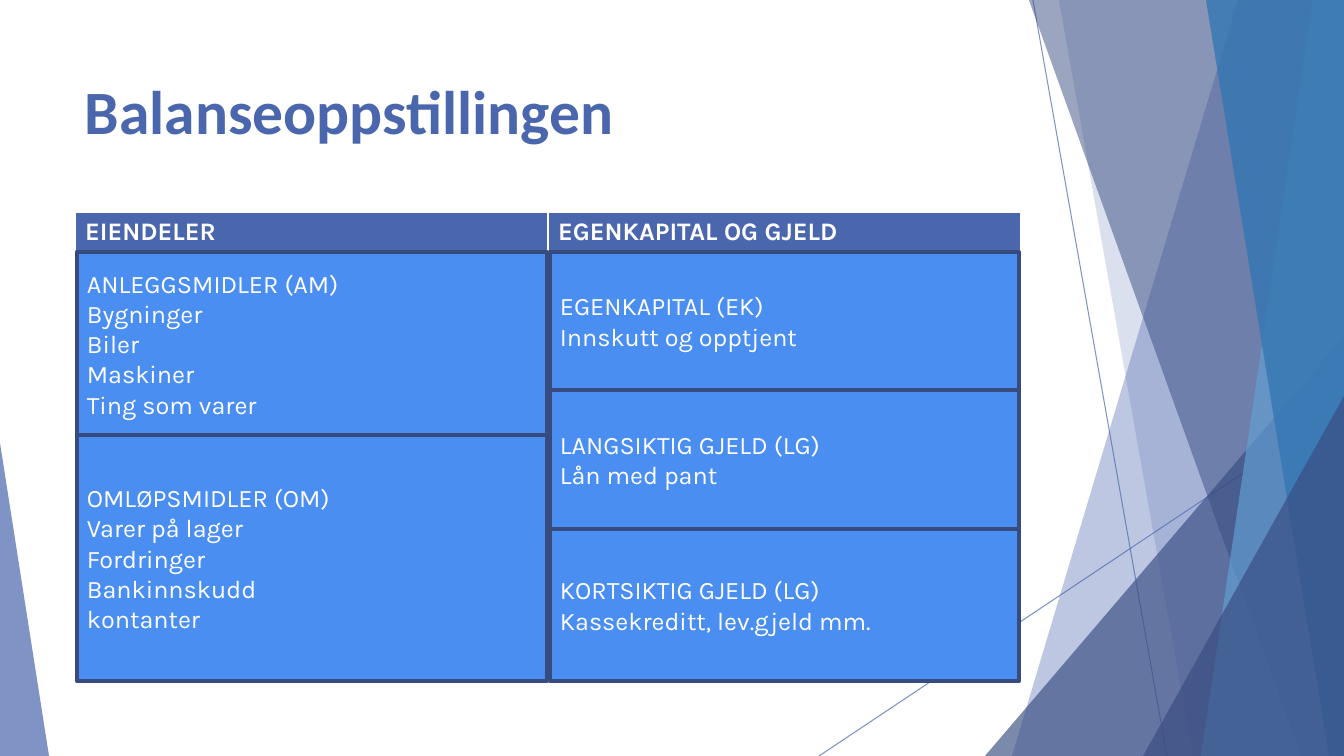
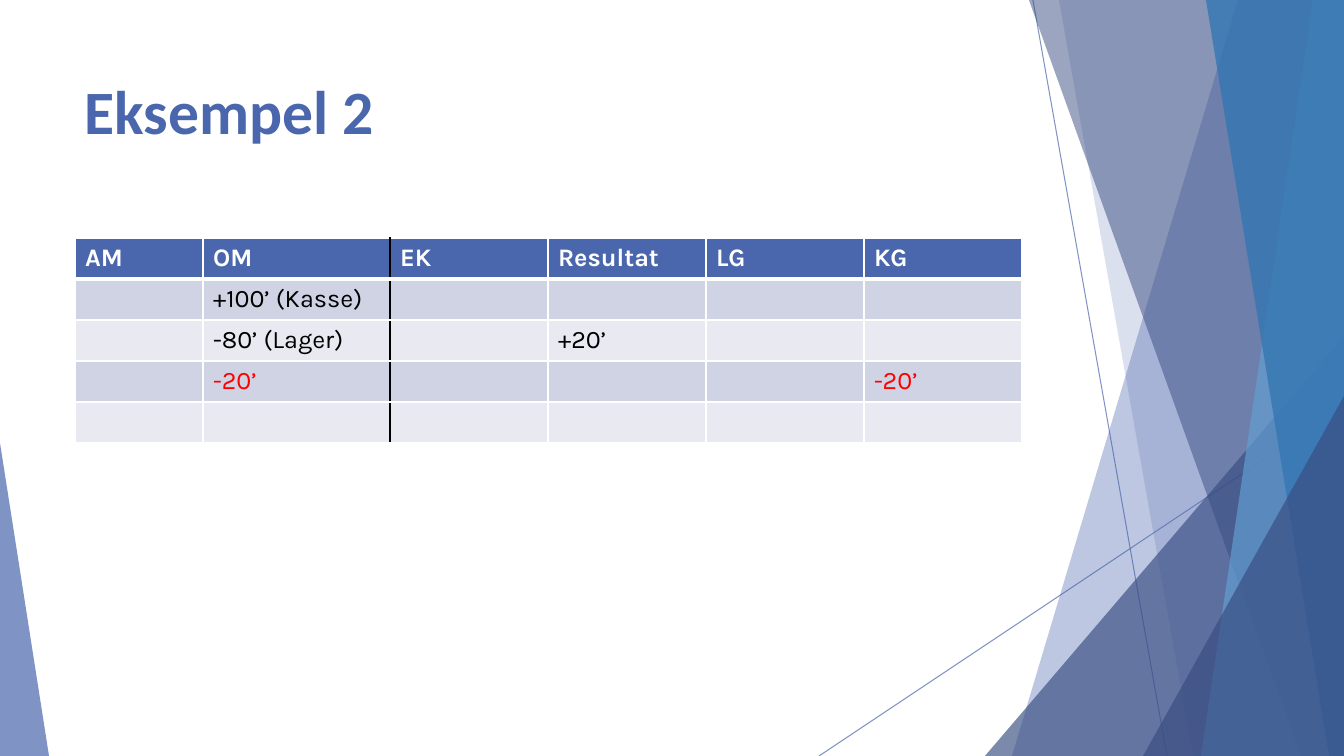
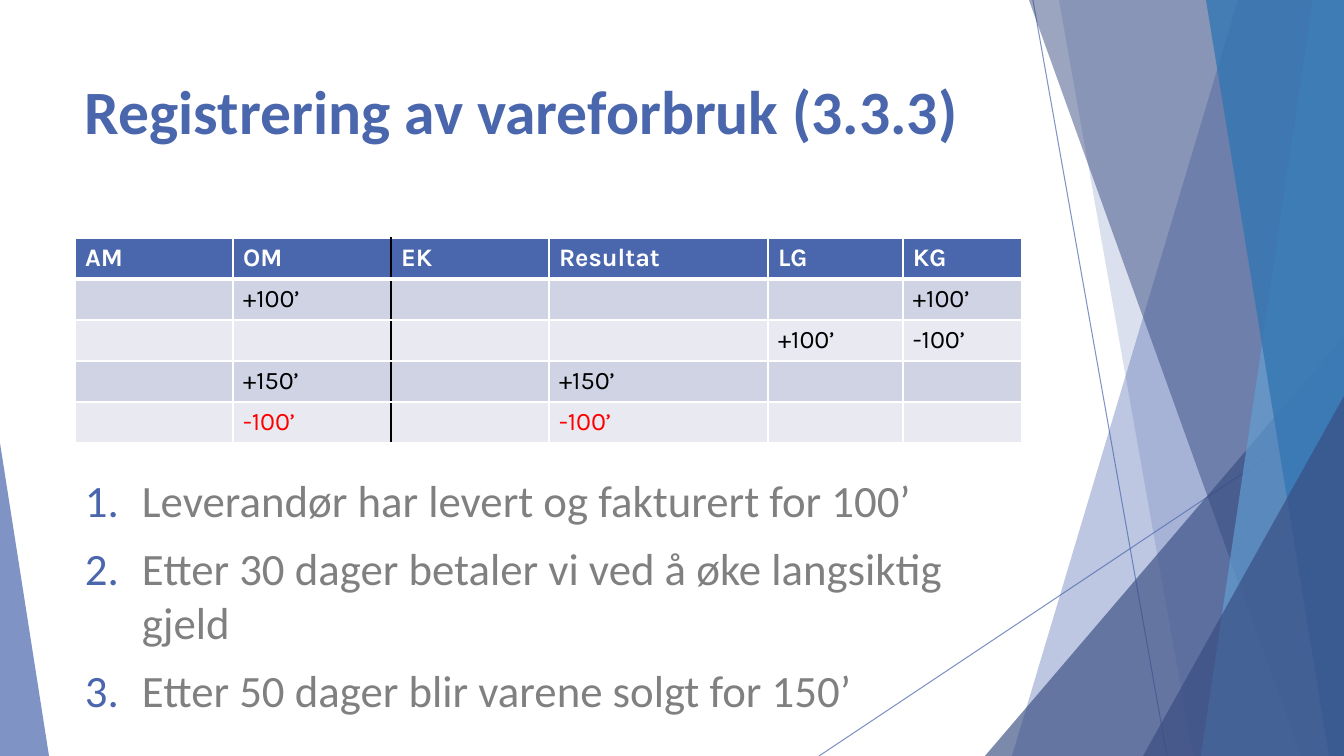
from dataclasses import dataclass

import lxml.etree
import pptx
import pptx.dml.color
import pptx.enum.shapes
import pptx.enum.text
import pptx.oxml.ns
import pptx.presentation
import pptx.slide
import pptx.table
import pptx.text.text
import pptx.util

# Scale and shared measures, in px
SLIDE_WIDTH, SLIDE_HEIGHT = 1344, 756
EMU_PER_PX = 12192000 / SLIDE_WIDTH
CONTENT_LEFT, CONTENT_WIDTH = 75, 947
ROW_HEIGHT = 41
LIST_INDENT = 57

# Colours and fonts
RGBColor = pptx.dml.color.RGBColor
BLUE = RGBColor(0x4A, 0x66, 0xAC)
NAVY = RGBColor(0x38, 0x4C, 0x81)
SKY = RGBColor(0x62, 0x9D, 0xD1)
OCEAN = RGBColor(0x34, 0x77, 0xB2)
BOX_FILL = RGBColor(0x4A, 0x8E, 0xF2)
BOX_LINE = RGBColor(0x37, 0x4B, 0x7F)
BAND_DARK = RGBColor(0xD0, 0xD3, 0xE3)
BAND_LIGHT = RGBColor(0xE9, 0xEA, 0xF1)
WHITE = RGBColor(0xFF, 0xFF, 0xFF)
BLACK = RGBColor(0, 0, 0)
RED = RGBColor(0xFF, 0, 0)
GREY = RGBColor(0x80, 0x80, 0x80)
HEADING_FONT, TABLE_FONT = "Calibri", "Karla"


@dataclass(frozen=True)
class Wedge:
    """Four-sided band running from the top edge to the bottom right corner."""
    top_x: int
    bottom_x: int
    color: RGBColor
    opacity: int


@dataclass(frozen=True)
class Corner:
    """Right-angled triangle standing on the bottom edge."""
    left: int
    top: int
    width: int
    apex: int
    color: RGBColor
    opacity: int


@dataclass(frozen=True)
class BoxColumn:
    left: int
    width: int
    boxes: tuple[tuple[int, tuple[str, ...]], ...]


@dataclass(frozen=True)
class Ledger:
    title: str
    widths: tuple[int, ...]
    rows: tuple[tuple[str, ...], ...]
    red_row: int


DECOR_LINES = ((1033, 0, 1167, 756), (1344, 406, 819, 756))
DECOR = (
    Wedge(1238, 1012, BLUE, 36),
    Wedge(1059, 1193, BLUE, 20),
    Corner(985, 336, 359, 1, NAVY, 66),
    Wedge(1029, 1301, NAVY, 50),
    Wedge(1313, 1201, SKY, 70),
    Wedge(1206, 1329, OCEAN, 80),
    Corner(1143, 396, 201, 1, NAVY, 66),
    Corner(0, 443, 49, 0, BLUE, 70),
)

BALANCE_HEADER = ("EIENDELER", "EGENKAPITAL OG GJELD")
BALANCE_COLUMNS = (
    BoxColumn(77, 470, (
        (183, ("ANLEGGSMIDLER (AM)", "Bygninger", "Biler", "Maskiner", "Ting som varer")),
        (246, ("OMLØPSMIDLER (OM)", "Varer på lager", "Fordringer", "Bankinnskudd", "kontanter")),
    )),
    BoxColumn(550, 469, (
        (138, ("EGENKAPITAL (EK)", "Innskutt og opptjent")),
        (139, ("LANGSIKTIG GJELD (LG)", "Lån med pant")),
        (152, ("KORTSIKTIG GJELD (LG)", "Kassekreditt, lev.gjeld mm.")),
    )),
)

LEDGER_HEADER = ("AM", "OM", "EK", "Resultat", "LG", "KG")
EXAMPLE = Ledger(
    "Eksempel 2",
    (128, 187, 158, 158, 158, 158),
    (
        ("", "+100’ (Kasse)", "", "", "", ""),
        ("", "-80’ (Lager)", "", "+20’", "", ""),
        ("", "-20’", "", "", "", "-20’"),
        ("", "", "", "", "", ""),
    ),
    red_row=3,
)
CONSUMPTION = Ledger(
    "Registrering av vareforbruk (3.3.3)",
    (158, 158, 158, 219, 135, 119),
    (
        ("", "+100’", "", "", "", "+100’"),
        ("", "", "", "", "+100’", "-100’"),
        ("", "+150’", "", "+150’", "", ""),
        ("", "-100’", "", "-100’", "", ""),
    ),
    red_row=4,
)
CONSUMPTION_STEPS = (
    "Leverandør har levert og fakturert for 100’",
    "Etter 30 dager betaler vi ved å øke langsiktig gjeld",
    "Etter 50 dager blir varene solgt for 150’",
)


def px(length: int) -> pptx.util.Emu:
    return pptx.util.Emu(round(length * EMU_PER_PX))


def add_child(parent: lxml.etree._Element, tag: str, **attributes: str) -> lxml.etree._Element:
    child = lxml.etree.SubElement(parent, pptx.oxml.ns.qn(tag))
    for name, value in attributes.items():
        child.set(name, value)
    return child


def set_opacity(element: lxml.etree._Element, percent: int) -> None:
    for color in list(element.iter(pptx.oxml.ns.qn("a:srgbClr"))):
        add_child(color, "a:alpha", val=str(percent * 1000))


def add_text(paragraph: pptx.text.text._Paragraph, text: str, size: int, font: str,
             color: RGBColor, bold: bool = False) -> None:
    run = paragraph.add_run()
    run.text = text
    run.font.size = pptx.util.Pt(size)
    run.font.name = font
    run.font.color.rgb = color
    run.font.bold = bold


def next_paragraph(frame: pptx.text.text.TextFrame, index: int) -> pptx.text.text._Paragraph:
    return frame.paragraphs[0] if index == 0 else frame.add_paragraph()


def add_text_box(slide: pptx.slide.Slide, top: int, height: int) -> pptx.text.text.TextFrame:
    box = slide.shapes.add_textbox(px(CONTENT_LEFT), px(top), px(CONTENT_WIDTH), px(height))
    box.text_frame.word_wrap = True
    return box.text_frame


# Shared background and title
def draw_decor(slide: pptx.slide.Slide) -> None:
    for x1, y1, x2, y2 in DECOR_LINES:
        line = slide.shapes.add_connector(
            pptx.enum.shapes.MSO_CONNECTOR.STRAIGHT, px(x1), px(y1), px(x2), px(y2))
        line.line.color.rgb = BLUE
        line.line.width = pptx.util.Pt(0.75)
        set_opacity(line.element, 70)
        add_child(line.element.spPr, "a:effectLst")
    for part in DECOR:
        if isinstance(part, Wedge):
            builder = slide.shapes.build_freeform(px(part.top_x), 0)
            builder.add_line_segments([
                (px(SLIDE_WIDTH), 0),
                (px(SLIDE_WIDTH), px(SLIDE_HEIGHT)),
                (px(part.bottom_x), px(SLIDE_HEIGHT)),
            ])
            shape = builder.convert_to_shape()
        else:
            shape = slide.shapes.add_shape(
                pptx.enum.shapes.MSO_SHAPE.ISOSCELES_TRIANGLE, px(part.left), px(part.top),
                px(part.width), px(SLIDE_HEIGHT - part.top))
            shape.adjustments[0] = part.apex
        shape.shadow.inherit = False
        shape.fill.solid()
        shape.fill.fore_color.rgb = part.color
        set_opacity(shape.element.spPr, part.opacity)
        shape.line.fill.background()


def add_titled_slide(presentation: pptx.presentation.Presentation, title: str) -> pptx.slide.Slide:
    slide = presentation.slides.add_slide(presentation.slide_layouts[6])
    draw_decor(slide)
    frame = add_text_box(slide, top=68, height=145)
    add_text(frame.paragraphs[0], title, 44, HEADING_FONT, BLUE, bold=True)
    return slide


# Tables
def style_cell(cell: pptx.table._Cell, fill: RGBColor, left: RGBColor, right: RGBColor,
               bottom_width: int) -> None:
    properties = cell._tc.get_or_add_tcPr()
    borders = (("a:lnL", left, 1), ("a:lnR", right, 1), ("a:lnT", WHITE, 1),
               ("a:lnB", WHITE, bottom_width))
    for tag, color, width in borders:
        border = add_child(properties, tag, w=str(pptx.util.Pt(width)))
        add_child(add_child(border, "a:solidFill"), "a:srgbClr", val=str(color))
    cell.fill.solid()
    cell.fill.fore_color.rgb = fill


def draw_table(slide: pptx.slide.Slide, top: int, widths: tuple[int, ...],
               rows: tuple[tuple[str, ...], ...], divider: int = 0, red_row: int = 0) -> None:
    """Draw a table with a header row and a black rule before column `divider`."""
    table = slide.shapes.add_table(
        len(rows), len(widths), px(CONTENT_LEFT), px(top),
        px(sum(widths)), px(ROW_HEIGHT * len(rows))).table
    for column, width in zip(table.columns, widths):
        column.width = px(width)
    for r, texts in enumerate(rows):
        table.rows[r].height = px(ROW_HEIGHT)
        is_header = r == 0
        fill = BLUE if is_header else BAND_DARK if r % 2 else BAND_LIGHT
        color = WHITE if is_header else RED if r == red_row else BLACK
        for c, text in enumerate(texts):
            cell = table.cell(r, c)
            style_cell(cell, fill,
                       left=BLACK if divider and c == divider else WHITE,
                       right=BLACK if divider and c == divider - 1 else WHITE,
                       bottom_width=3 if is_header else 1)
            if text:
                add_text(cell.text_frame.paragraphs[0], text, 18, TABLE_FONT, color, is_header)


# Slides
def draw_box(slide: pptx.slide.Slide, left: int, top: int, width: int, height: int,
             lines: tuple[str, ...]) -> None:
    box = slide.shapes.add_shape(
        pptx.enum.shapes.MSO_SHAPE.RECTANGLE, px(left), px(top), px(width), px(height))
    box.shadow.inherit = False
    box.fill.solid()
    box.fill.fore_color.rgb = BOX_FILL
    box.line.color.rgb = BOX_LINE
    box.line.width = pptx.util.Pt(3)
    frame = box.text_frame
    frame.word_wrap = True
    frame.vertical_anchor = pptx.enum.text.MSO_ANCHOR.MIDDLE
    for index, text in enumerate(lines):
        paragraph = next_paragraph(frame, index)
        paragraph.alignment = pptx.enum.text.PP_ALIGN.LEFT
        add_text(paragraph, text, 18, TABLE_FONT, WHITE)


def build_balance(presentation: pptx.presentation.Presentation) -> None:
    slide = add_titled_slide(presentation, "Balanseoppstillingen")
    draw_table(slide, 212, (473, 473), (BALANCE_HEADER,))
    for column in BALANCE_COLUMNS:
        top = 252
        for height, lines in column.boxes:
            draw_box(slide, column.left, top, column.width, height, lines)
            top += height


def build_ledger(presentation: pptx.presentation.Presentation, ledger: Ledger) -> pptx.slide.Slide:
    slide = add_titled_slide(presentation, ledger.title)
    draw_table(slide, 238, ledger.widths, (LEDGER_HEADER, *ledger.rows),
               divider=2, red_row=ledger.red_row)
    return slide


def draw_numbered_list(slide: pptx.slide.Slide, steps: tuple[str, ...]) -> None:
    frame = add_text_box(slide, top=468, height=288)
    for index, text in enumerate(steps):
        paragraph = next_paragraph(frame, index)
        paragraph.space_before = pptx.util.Pt(10)
        properties = paragraph._p.get_or_add_pPr()
        properties.set("marL", str(px(LIST_INDENT)))
        properties.set("indent", str(-px(LIST_INDENT)))
        add_child(add_child(properties, "a:buClr"), "a:srgbClr", val=str(BLUE))
        add_child(properties, "a:buFont", typeface=HEADING_FONT)
        add_child(properties, "a:buAutoNum", type="arabicPeriod")
        add_text(paragraph, text, 32, HEADING_FONT, GREY)


def main() -> None:
    presentation = pptx.Presentation()
    presentation.slide_width = px(SLIDE_WIDTH)
    presentation.slide_height = px(SLIDE_HEIGHT)
    build_balance(presentation)
    build_ledger(presentation, EXAMPLE)
    draw_numbered_list(build_ledger(presentation, CONSUMPTION), CONSUMPTION_STEPS)
    presentation.save("out.pptx")


if __name__ == "__main__":
    main()
